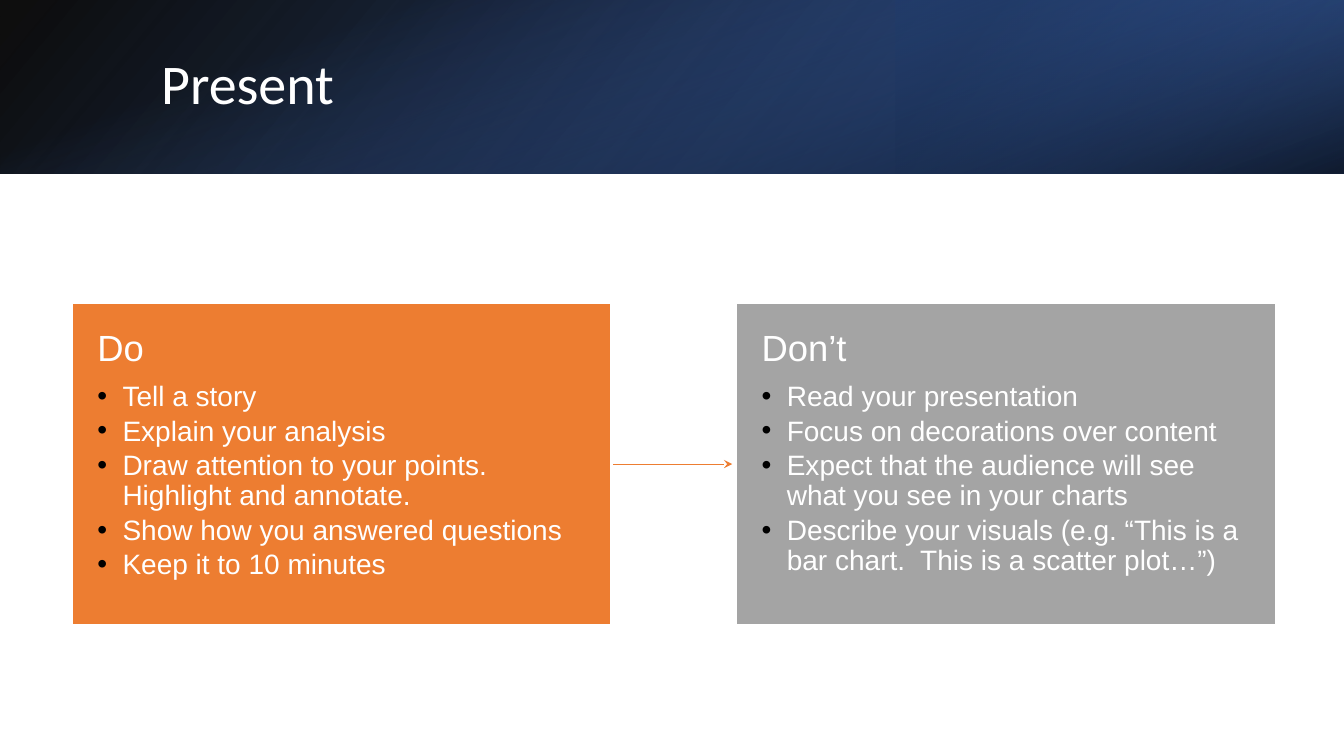
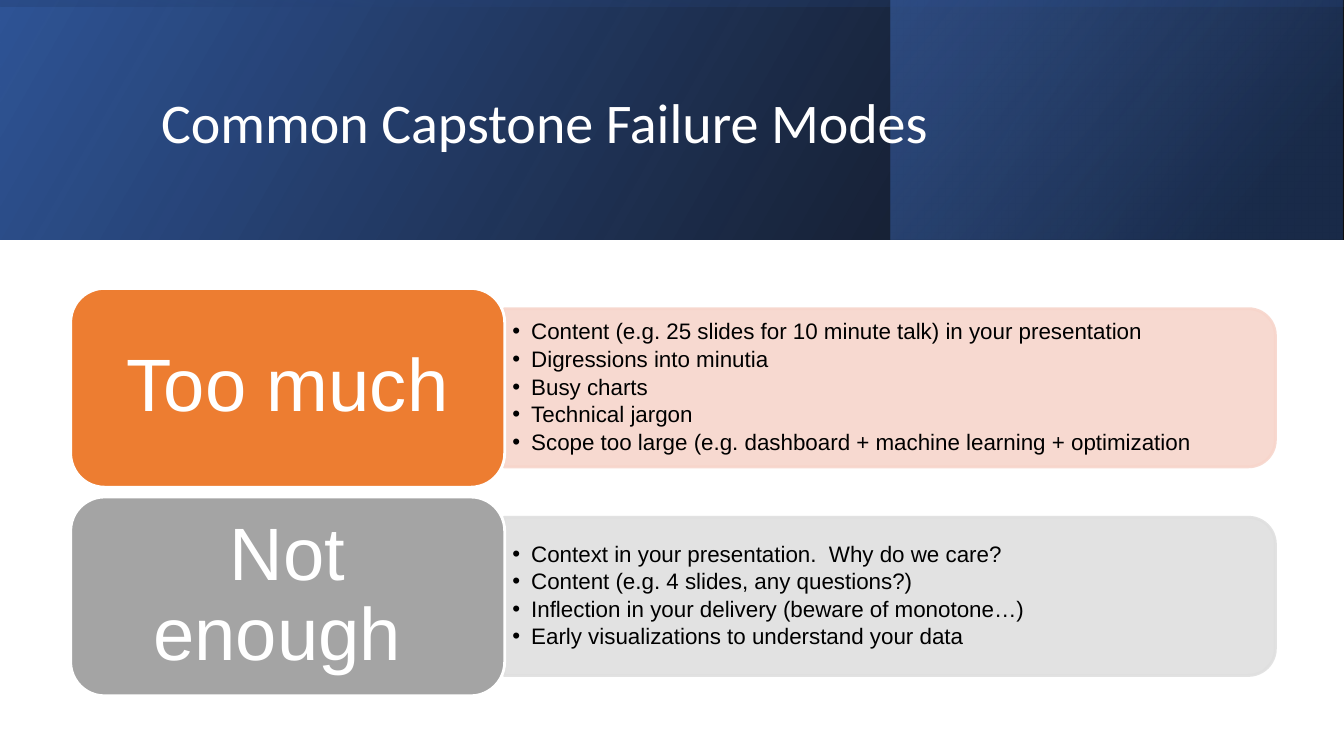
from lxml.etree import SubElement
from pptx import Presentation
from pptx.dml.color import RGBColor
from pptx.enum.shapes import MSO_CONNECTOR, MSO_SHAPE
from pptx.enum.text import MSO_ANCHOR, PP_ALIGN
from pptx.oxml import parse_xml
from pptx.oxml.ns import nsdecls, qn
from pptx.util import Pt

WIDTH, HEIGHT = 960, 540
WHITE, BLACK = "FFFFFF", "000000"
ORANGE, GREY = "ED7D31", "A4A4A4"
NAVY, DEEP_BLUE, BLUE = "1F3864", "2F5496", "4472C4"


def rgb(value):
    return RGBColor.from_string(value)


def add_text(shape, lines, size, color=WHITE, font="Arial", align=PP_ALIGN.LEFT,
             anchor=MSO_ANCHOR.MIDDLE, margins=(7.2, 3.6), indent=0,
             first_gap=0, gap=0):
    """Append one paragraph per line; an indent also turns bullets on."""
    frame = shape.text_frame
    frame.word_wrap = True
    frame.vertical_anchor = anchor
    frame.margin_left = frame.margin_right = Pt(margins[0])
    frame.margin_top = frame.margin_bottom = Pt(margins[1])
    for index, line in enumerate(lines):
        paragraph = frame.add_paragraph() if frame.text else frame.paragraphs[0]
        if indent:
            properties = paragraph._p.get_or_add_pPr()
            properties.set("marL", str(Pt(indent)))
            properties.set("indent", str(-Pt(indent)))
            bullet_color = SubElement(properties, qn("a:buClr"))
            SubElement(bullet_color, qn("a:srgbClr"), val=BLACK)
            SubElement(properties, qn("a:buFont"), typeface="Arial")
            SubElement(properties, qn("a:buChar"), char="•")
        paragraph.alignment = align
        paragraph.line_spacing = 0.9
        paragraph.space_before = Pt(gap if index else first_gap)
        run = paragraph.add_run()
        run.text = line
        run.font.size = Pt(size)
        run.font.name = font
        run.font.color.rgb = rgb(color)


presentation = Presentation()
presentation.slide_width, presentation.slide_height = Pt(WIDTH), Pt(HEIGHT)

# Title bands: left, width, rotation, flipped, angle, stops (position, colour, opacity)
base = [(0, BLACK, 95), (100, DEEP_BLUE, 100)]
headers = [
    ("Present", 124, 27.5, 69, [
        (0, WIDTH, 0, True, 140, base),
        (640, 320, 180, True, 320, [(0, NAVY, 67), (19, NAVY, 67), (100, BLUE, 78)]),
        (0, WIDTH, 90, False, 340,
         [(0, BLUE, 0), (23, BLUE, 0), (99, BLACK, 73), (100, BLACK, 73)]),
    ]),
    ("Common Capstone Failure Modes", 171, 27.5, 124, [
        (0, WIDTH, 0, True, 330, base),
        (636.5, 322.5, 0, True, 320, [(0, NAVY, 67), (19, NAVY, 67), (100, BLUE, 47)]),
        (0, WIDTH, 270, True, 350,
         [(0, DEEP_BLUE, 15), (23, DEEP_BLUE, 15), (99, BLACK, 44), (100, BLACK, 44)]),
    ]),
]
slides = []
for title, band_height, title_top, title_height, bands in headers:
    slide = presentation.slides.add_slide(presentation.slide_layouts[6])
    slides.append(slide)
    for left, width, rotation, flipped, angle, stops in bands:
        # A quarter turn swaps the sides around the same centre
        across, down = (band_height, width) if rotation % 180 else (width, band_height)
        band = slide.shapes.add_shape(
            MSO_SHAPE.RECTANGLE, Pt(left + (width - across) / 2),
            Pt((band_height - down) / 2), Pt(across), Pt(down))
        band.rotation = rotation
        band.shadow.inherit = False
        band.line.fill.background()
        properties = band._element.spPr
        if flipped:
            properties.xfrm.set("flipH", "1")
        stop_xml = "".join(
            f'<a:gs pos="{position * 1000}"><a:srgbClr val="{color}">'
            f'<a:alpha val="{opacity * 1000}"/></a:srgbClr></a:gs>'
            for position, color, opacity in stops)
        properties.find(qn("a:prstGeom")).addnext(parse_xml(
            f'<a:gradFill {nsdecls("a")}><a:gsLst>{stop_xml}</a:gsLst>'
            f'<a:lin ang="{angle * 60000}" scaled="0"/></a:gradFill>'))
    title_box = slide.shapes.add_textbox(
        Pt(108), Pt(title_top), Pt(780), Pt(title_height))
    add_text(title_box, [title], 40, font="Calibri")

present_slide, failure_slide = slides

# Do and Don't panels
advice = [
    ("Do", 51, ORANGE, [
        "Tell a story",
        "Explain your analysis",
        "Draw attention to your points.  Highlight and annotate.",
        "Show how you answered questions",
        "Keep it to 10 minutes",
    ]),
    ("Don’t", 525.5, GREY, [
        "Read your presentation",
        "Focus on decorations over content",
        "Expect that the audience will see what you see in your charts",
        "Describe your visuals (e.g. “This is a bar chart.  This is a scatter plot…”)",
    ]),
]
panels = []
for heading, left, color, points in advice:
    panel = present_slide.shapes.add_shape(
        MSO_SHAPE.RECTANGLE, Pt(left), Pt(216), Pt(386), Pt(231))
    panel.shadow.inherit = False
    panel.fill.solid()
    panel.fill.fore_color.rgb = rgb(color)
    panel.line.color.rgb = rgb(WHITE)
    panel.line.width = Pt(2)
    layout = {"anchor": MSO_ANCHOR.TOP, "margins": (18.5, 20)}
    add_text(panel, [heading], 26, **layout)
    add_text(panel, points, 20, indent=18, first_gap=9.1, gap=3, **layout)
    panels.append(panel)

arrow = present_slide.shapes.add_connector(
    MSO_CONNECTOR.STRAIGHT, Pt(437), Pt(331.5), Pt(523), Pt(331.5))
arrow.begin_connect(panels[0], 3)
arrow.line.color.rgb = rgb(ORANGE)
arrow.line.width = Pt(0.75)
SubElement(arrow.line._get_or_add_ln(), qn("a:tailEnd"), type="stealth")
SubElement(arrow._element.spPr, qn("a:effectLst"))
panels[0]._element.addprevious(arrow._element)  # Behind the panels' white outline

# Failure modes: a label with its details to the right
failures = [
    ("Too much", ORANGE, "F7D5CB", [
        "Content (e.g. 25 slides for 10 minute talk) in your presentation",
        "Digressions into minutia",
        "Busy charts",
        "Technical jargon",
        "Scope too large (e.g. dashboard + machine learning + optimization",
    ]),
    ("Not enough ", GREY, "DFDFDF", [
        "Context in your presentation.  Why do we care?",
        "Content (e.g. 4 slides, any questions?)",
        "Inflection in your delivery (beware of monotone…)",
        "Early visualizations to understand your data",
    ]),
]
detail_left, detail_width, detail_height = 360, 551, 113
for row, (heading, color, tint, points) in enumerate(failures):
    label_top = 206 + row * 149
    middle = label_top + 71
    detail = failure_slide.shapes.add_shape(
        MSO_SHAPE.ROUND_2_SAME_RECTANGLE,
        Pt(detail_left + (detail_width - detail_height) / 2),
        Pt(middle - detail_width / 2), Pt(detail_height), Pt(detail_width))
    detail.rotation = 90
    label = failure_slide.shapes.add_shape(
        MSO_SHAPE.ROUNDED_RECTANGLE, Pt(50.5), Pt(label_top), Pt(310), Pt(142))
    for shape, fill, line in ((detail, tint, tint), (label, color, WHITE)):
        shape.adjustments[0] = 0.17
        shape.shadow.inherit = False
        shape.fill.solid()
        shape.fill.fore_color.rgb = rgb(fill)
        shape.line.color.rgb = rgb(line)
        shape.line.width = Pt(2)
    for tint_color in detail._element.spPr.iter(qn("a:srgbClr")):
        SubElement(tint_color, qn("a:alpha"), val="89000")
    add_text(label, [heading], 53, align=PP_ALIGN.CENTER, margins=(16, 8))
    details_box = failure_slide.shapes.add_textbox(
        Pt(361), Pt(middle - 51), Pt(545), Pt(102))
    add_text(details_box, points, 16, color=BLACK, margins=(5, 2), indent=13.5, gap=2.4)

presentation.save("out.pptx")
